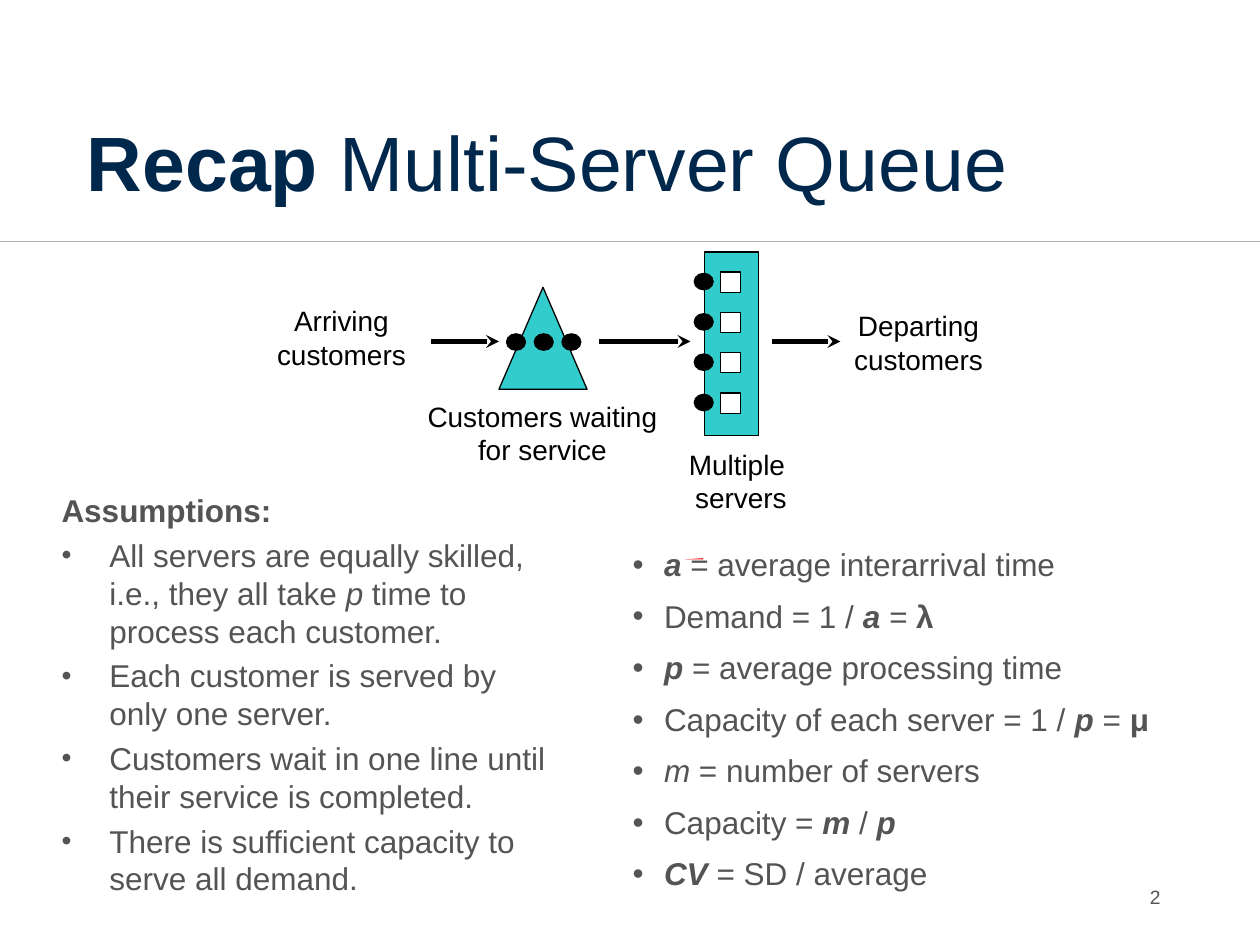
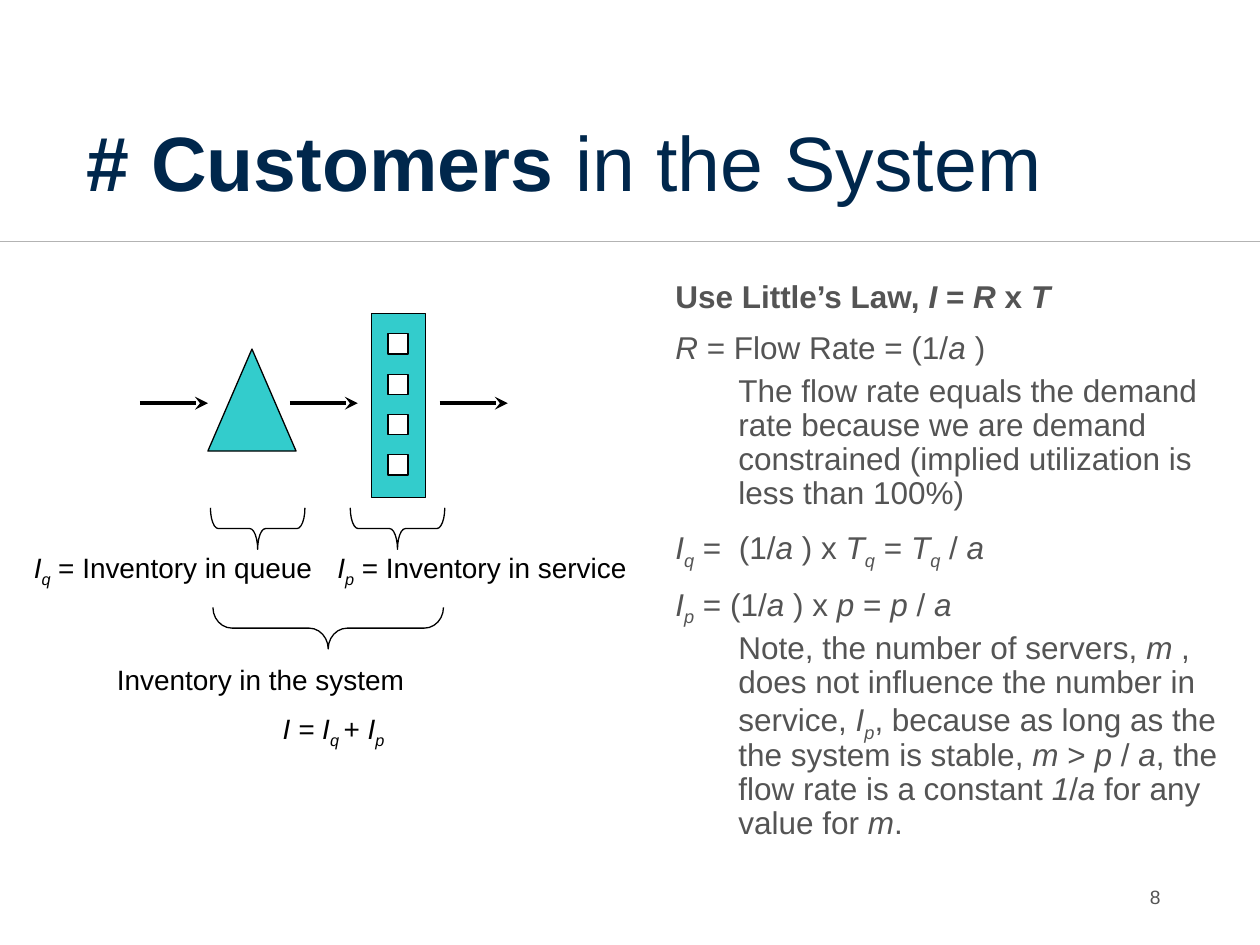
from dataclasses import dataclass
from typing import NamedTuple

from lxml.etree import SubElement
from pptx import Presentation
from pptx.dml.color import RGBColor
from pptx.enum.shapes import MSO_CONNECTOR as Conn, MSO_SHAPE as Kind
from pptx.enum.text import MSO_ANCHOR as Anchor, MSO_AUTO_SIZE as Fit, PP_ALIGN as Align
from pptx.oxml.ns import qn
from pptx.util import Emu, Pt

PX = 9144  # EMU per px: 100 px to the inch


@dataclass(frozen=True)
class Theme:
    font: str = "Arial"
    navy: str = "00274C"
    gray: str = "545454"
    rule: str = "B3B3B3"
    black: str = "000000"
    white: str = "FFFFFF"
    teal: str = "33CCCC"
    red: str = "FF0000"
    title_size: int = 44
    body_size: int = 18
    label_size: int = 16
    number_size: int = 11
    outline: float = 0.75
    arrow: float = 2.5


class Box(NamedTuple):
    x: int
    y: int
    w: int
    h: int

    def emu(self) -> list[Emu]:
        return [px(v) for v in self]


class Run(NamedTuple):
    """Text with style letters: b bold, i italic, s subscript."""
    text: str
    style: str = ""


@dataclass(frozen=True)
class Para:
    runs: tuple[Run, ...]
    level: int = 0
    align: Align = Align.LEFT


class Label(NamedTuple):
    box: Box
    paras: list[Para]


class Brace(NamedTuple):
    box: Box
    curl: float


T = Theme()
TITLE = Box(69, 40, 862, 145)
NUMBER = Box(847, 692, 84, 40)
RULE_Y = 192
PITCH = 32


def px(n: int) -> Emu:
    return Emu(n * PX)


def para(*parts: str | tuple[str, str], level: int = 0, align: Align = Align.LEFT) -> Para:
    runs = tuple(Run(part) if isinstance(part, str) else Run(*part) for part in parts)
    return Para(runs, level, align)


def rgb(color: str) -> RGBColor:
    return RGBColor.from_string(color)


def add_text(p, text: str, *, size: int, color: str, style: str = "") -> None:
    for i, line in enumerate(text.split("\n")):
        if i:
            p.add_line_break()
        r = p.add_run()
        r.text = line
        f = r.font
        f.name, f.size, f.color.rgb = T.font, Pt(size), rgb(color)
        f.bold, f.italic = "b" in style, "i" in style
        if "s" in style:
            r._r.get_or_add_rPr().set("baseline", "-25000")


def set_indent(p, left: int, first: int, bullet: bool, percent: int = 100) -> None:
    pPr = p._p.get_or_add_pPr()
    pPr.set("marL", str(px(left)))
    pPr.set("indent", str(px(first)))
    if bullet:
        SubElement(pPr, qn("a:buSzPct")).set("val", str(percent * 1000))
        SubElement(pPr, qn("a:buFont")).set("typeface", T.font)
        SubElement(pPr, qn("a:buChar")).set("char", "•")
    else:
        SubElement(pPr, qn("a:buNone"))


def fill_frame(tf, paras: list[Para], *, size: int, color: str, before: float = 0,
               spacing: float = 1.0) -> None:
    tf.word_wrap = True
    for i, item in enumerate(paras):
        p = tf.add_paragraph() if i else tf.paragraphs[0]
        p.level, p.alignment = item.level, item.align
        p.line_spacing = spacing
        p.space_before = Pt(before / 2 if item.level else before)
        for run in item.runs:
            add_text(p, run.text, size=size, color=color, style=run.style)


def place(sp, box: Box) -> None:
    sp.left, sp.top, sp.width, sp.height = box.emu()


def set_insets(tf, left: int, top: int, right: int, bottom: int) -> None:
    tf.margin_left, tf.margin_top = px(left), px(top)
    tf.margin_right, tf.margin_bottom = px(right), px(bottom)


def add_label(s, label: Label) -> None:
    tf = s.shapes.add_textbox(*label.box.emu()).text_frame
    fill_frame(tf, label.paras, size=T.label_size, color=T.black, before=9)
    tf.auto_size = Fit.SHAPE_TO_FIT_TEXT


def add_outlined(shapes, kind: Kind, box: Box, fill: str | None = None):
    sp = shapes.add_shape(kind, *box.emu())
    sp.shadow.inherit = False
    if fill:
        sp.fill.solid()
        sp.fill.fore_color.rgb = rgb(fill)
    else:
        sp.fill.background()
    sp.line.color.rgb, sp.line.width = rgb(T.black), Pt(T.outline)
    return sp


def add_line(shapes, x1: int, x2: int, y: int, *, color: str, width: float,
             arrow: bool = False) -> None:
    c = shapes.add_connector(Conn.STRAIGHT, px(x1), px(y), px(x2), px(y))
    c.line.color.rgb, c.line.width = rgb(color), Pt(width)
    if arrow:
        SubElement(c.line._get_or_add_ln(), qn("a:tailEnd")).set("type", "stealth")
    SubElement(c._element.spPr, qn("a:effectLst"))


def add_brace(s, brace: Brace) -> None:
    sp = add_outlined(s.shapes, Kind.LEFT_BRACE, brace.box)
    sp.rotation = 270
    sp.adjustments[0] = brace.curl


def add_dots(shapes, x: int, y: int, count: int, dx: int, dy: int) -> None:
    for i in range(count):
        add_outlined(shapes, Kind.OVAL, Box(x + i * dx, y + i * dy, 15, 13), T.black)


def draw_queue_system(shapes, queue_x: int, service_from: int, server_x: int, top: int) -> None:
    """Triangle queue feeding a column of four servers, with the flow arrows."""
    add_outlined(shapes, Kind.ISOSCELES_TRIANGLE, Box(queue_x, top + 28, 70, 81), T.teal)
    add_outlined(shapes, Kind.RECTANGLE, Box(server_x, top, 43, 146), T.teal)
    for i in range(4):
        add_outlined(shapes, Kind.RECTANGLE,
                     Box(server_x + 13, top + 16 + i * PITCH, 16, 16), T.white)
    flows = [(queue_x - 54, queue_x), (service_from, server_x - 11),
             (server_x + 54, server_x + 108)]
    for x1, x2 in flows:
        add_line(shapes, x1, x2, top + 71, color=T.black, width=T.arrow, arrow=True)


def add_base(prs, title: Para, number: int, body_box: Box, body: list[Para], bullet: bool):
    """Slide with rule, title, body list and slide number."""
    s = prs.slides.add_slide(prs.slide_layouts[1])
    add_line(s.shapes, 0, 1000, RULE_Y, color=T.rule, width=0.5)

    place(s.shapes.title, TITLE)
    tf = s.shapes.title.text_frame
    fill_frame(tf, [title], size=T.title_size, color=T.navy, spacing=0.9)
    set_insets(tf, 0, 5, 10, 20)
    tf.vertical_anchor, tf.auto_size = Anchor.BOTTOM, Fit.NONE

    sp = s.placeholders[1]
    place(sp, body_box)
    tf = sp.text_frame
    fill_frame(tf, body, size=T.body_size, color=T.gray, before=10, spacing=0.9)
    set_insets(tf, 10, 20, 10, 5)
    tf.vertical_anchor, tf.auto_size = Anchor.TOP, Fit.NONE
    for p in tf.paragraphs:
        if bullet:
            set_indent(p, 25, -25, True)
        else:
            set_indent(p, 50 * p.level, 0, False)

    tf = s.shapes.add_textbox(*NUMBER.emu()).text_frame
    fill_frame(tf, [para(str(number), align=Align.RIGHT)], size=T.number_size, color=T.gray)
    tf.vertical_anchor = Anchor.MIDDLE
    return s


def add_assumptions(s) -> None:
    sp = s.shapes.add_shape(Kind.RECTANGLE, *Box(39, 385, 406, 358).emu())
    sp.shadow.inherit = False
    sp.fill.solid()
    sp.fill.fore_color.rgb = rgb(T.white)
    sp.line.fill.background()
    tf = sp.text_frame
    fill_frame(tf, [
        para(("Assumptions:", "b")),
        para("All servers are equally skilled, \ni.e., they all take ", ("p", "i"),
             " time to process each customer."),
        para("Each customer is served by \nonly one server."),
        para("Customers wait in one line until their service is completed."),
        para("There is sufficient capacity to serve all demand."),
    ], size=T.body_size, color=T.gray, before=4)
    tf.vertical_anchor = Anchor.TOP
    for p in tf.paragraphs[1:]:
        set_indent(p, 38, -38, True, 90)


def build_recap(prs) -> None:
    s = add_base(prs, para(("Recap ", "b"), "Multi-Server Queue"), 2, Box(492, 416, 557, 358), [
        para(("a", "bi"), " = average interarrival time"),
        para("Demand = 1 / ", ("a", "bi"), (" = ", "i"), ("λ", "b")),
        para(("p", "bi"), " = average processing time"),
        para("Capacity of each server = 1 / ", ("p", "bi"), " = ", ("μ", "b")),
        para(("m", "i"), " = number of servers"),
        para("Capacity = ", ("m ", "bi"), "/ ", ("p", "bi")),
        para(("CV", "bi"), " = SD / average"),
    ], bullet=True)
    fb = s.shapes.build_freeform(543, 444, scale=PX)
    fb.add_line_segments([(558, 443), (558, 444)], close=True)
    stroke = fb.convert_to_shape()
    stroke.shadow.inherit = False
    stroke.fill.solid()
    stroke.fill.fore_color.rgb = rgb(T.red)
    stroke.line.fill.background()
    add_assumptions(s)
    mid = Align.CENTER
    for label in (
        Label(Box(492, 350, 192, 64), [para("Multiple ", align=mid), para("servers", align=mid)]),
        Label(Box(322, 312, 217, 64), [para("Customers waiting for service", align=mid)]),
        Label(Box(175, 236, 192, 64), [para("Arriving customers", align=mid)]),
        Label(Box(633, 240, 192, 64), [para("Departing customers", align=mid)]),
    ):
        if len(label.paras) == 2:
            add_label(s, label)
            s.shapes[-1].text_frame.paragraphs[1].space_before = Pt(0)
        else:
            add_label(s, label)
    draw_queue_system(s.shapes, 396, 475, 559, 200)
    add_dots(s.shapes, 402, 265, 3, 22, 0)
    add_dots(s.shapes, 551, 217, 4, 0, PITCH)


def build_customers(prs) -> None:
    i_q, i_p, t_q = ((name, "i") for name in "IIT")
    q, p, a = ("q", "is"), ("p", "i"), ("a", "i")
    sub_p, a_gap, m = ("p", "is"), ("a ", "i"), ("m", "i")
    s = add_base(prs, para(("# Customers ", "b"), "in the System"), 8, Box(526, 203, 451, 532), [
        para(("Use Little’s Law, ", "b"), ("I", "bi"), (" = ", "b"), ("R", "bi"),
             (" x ", "b"), ("T", "bi")),
        para(("R", "i"), " = Flow Rate = (1/", a_gap, ")"),
        para("The flow rate equals the demand rate because we are demand constrained "
             "(implied utilization is less than 100%)", level=1),
        para(i_q, q, " =  (1/", a_gap, ") x ", t_q, q, " = ", t_q, q, " / ", a),
        para(i_p, sub_p, " = (1/", a_gap, ") x ", p, " = ", p, " / ", a),
        para("Note, the number of servers, ", m,
             " , does not influence the number in service, ", i_p, sub_p,
             ", because as long as the the system is stable, ", m, " > ", p, " / ", a,
             ", the flow rate is a constant ", ("1", "i"), "/", a, " for any value for ",
             m, ".", level=1),
    ], bullet=False)
    draw_queue_system(s.shapes.add_group_shape().shapes, 165, 230, 295, 249)
    for brace in (Brace(Box(188, 382, 33, 75), 0.19), Brace(Box(299, 382, 33, 75), 0.19),
                  Brace(Box(244, 407, 33, 183), 0.46)):
        add_brace(s, brace)
    for label in (
        Label(Box(17, 432, 283, 37), [para(i_q, q, " = Inventory in queue")]),
        Label(Box(258, 432, 258, 37), [para(i_p, sub_p, " = Inventory in service")]),
        Label(Box(83, 521, 367, 77), [
            para("Inventory in the system"),
            para(("I = I", "i"), ("q ", "is"), "+ ", i_p, ("p ", "is"), align=Align.CENTER)]),
    ):
        add_label(s, label)


def main() -> None:
    prs = Presentation()
    prs.slide_width, prs.slide_height = px(1000), px(750)
    build_recap(prs)
    build_customers(prs)
    prs.save("out.pptx")


if __name__ == "__main__":
    main()
